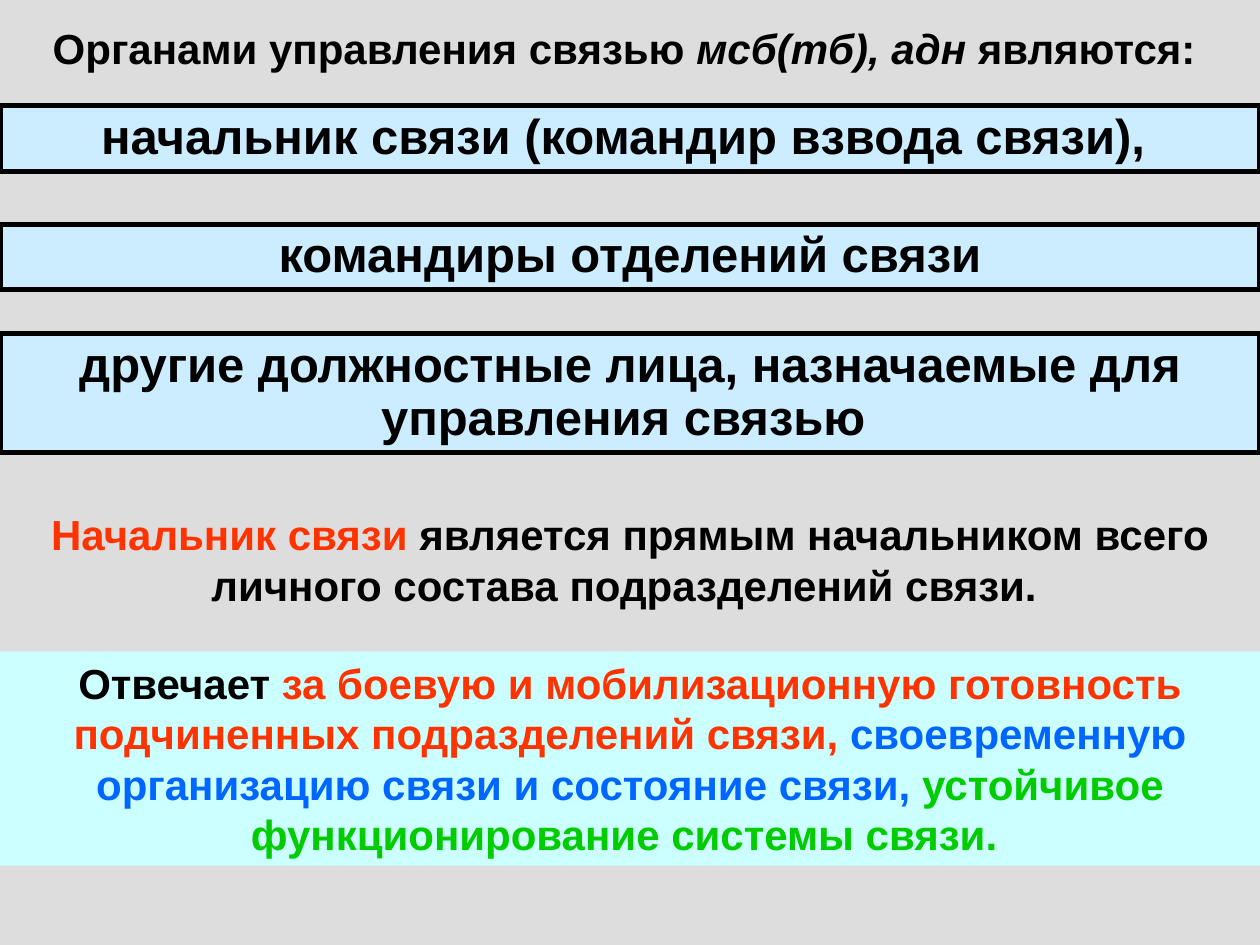
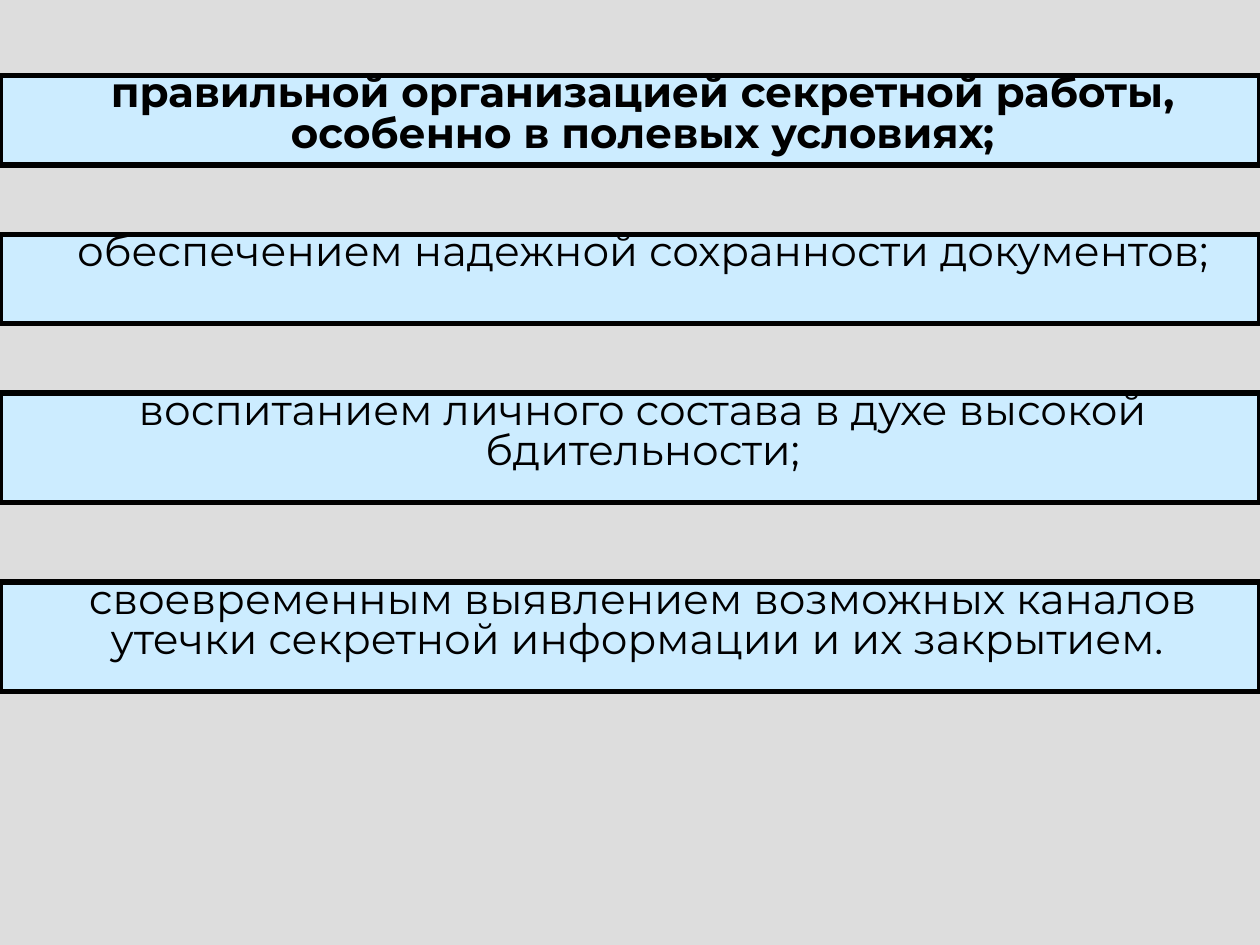
from dataclasses import dataclass

from pptx import Presentation
from pptx import util as u
from pptx.dml.color import RGBColor
from pptx.enum import shapes, text


@dataclass(frozen=True)
class Theme:
    back: str = "DDDDDD"
    box: str = "CCECFF"
    note: str = "CCFFFF"
    ink: str = "000000"
    red: str = "FF3300"
    blue: str = "0066FF"
    green: str = "00CC00"
    sans: str = "Arial"
    round: str = "Montserrat"
    body: int = 24
    large: int = 28
    edge: int = 3


def rgb(code):
    return RGBColor.from_string(code)


class Deck:
    WIDTH = 10

    def __init__(self, theme):
        self.theme = theme
        self.file = Presentation()
        self.file.slide_width = u.Inches(self.WIDTH)
        self.file.slide_height = u.Inches(7.5)
        self.slide = None

    def page(self):
        self.slide = self.file.slides.add_slide(self.file.slide_layouts[6])
        fill = self.slide.background.fill
        fill.solid()
        fill.fore_color.rgb = rgb(self.theme.back)

    def place(self, top, height):
        return 0, u.Inches(top), u.Inches(self.WIDTH), u.Inches(height)

    def letter(self, shape, runs, size, font, bold=True, lines=None, pad=(0.1, 0.05)):
        """Fill a shape with one centred paragraph of (words, colour, italic) runs."""
        frame = shape.text_frame
        frame.word_wrap = True
        frame.vertical_anchor = text.MSO_ANCHOR.TOP
        frame.margin_left = frame.margin_right = u.Inches(pad[0])
        frame.margin_top = frame.margin_bottom = u.Inches(pad[1])
        para = frame.paragraphs[0]
        para.alignment = text.PP_ALIGN.CENTER
        para.line_spacing = lines
        para.font.size = u.Pt(size)
        para.font.name = font
        para.font.bold = bold
        for words, tint, slant in runs:
            run = para.add_run()
            run.text = words
            run.font.color.rgb = rgb(tint)
            run.font.italic = slant
        return para

    def band(self, top, height, fill, edged=True):
        shape = self.slide.shapes.add_shape(
            shapes.MSO_SHAPE.RECTANGLE, *self.place(top, height))
        shape.shadow.inherit = False
        shape.fill.solid()
        shape.fill.fore_color.rgb = rgb(fill)
        if edged:
            shape.line.color.rgb = rgb(self.theme.ink)
            shape.line.width = u.Pt(self.theme.edge)
        else:
            shape.line.fill.background()
        return shape

    def label(self, top, height, runs):
        """Add plain text across the whole slide."""
        shape = self.slide.shapes.add_textbox(*self.place(top, height))
        self.letter(shape, runs, self.theme.body, self.theme.sans)

    def note(self, top, height, runs):
        """Add text on a band without an outline."""
        shape = self.band(top, height, self.theme.note, edged=False)
        self.letter(shape, runs, self.theme.body, self.theme.sans)

    def organ(self, top, height, words):
        shape = self.band(top, height, self.theme.box)
        self.letter(shape, [(words, self.theme.ink, False)],
                    self.theme.large, self.theme.sans, lines=0.9)

    def duty(self, top, height, words, bold):
        shape = self.band(top, height, self.theme.box)
        para = self.letter(shape, [(words, self.theme.ink, False)], self.theme.body,
                           self.theme.round, bold, lines=0.8, pad=(0, 0))
        props = para._p.get_or_add_pPr()
        props.set("marL", str(u.Inches(0.2)))
        props.set("indent", "0")


ORGANS = [
    (0.84, 0.52, "начальник связи (командир взвода связи), "),
    (1.78, 0.52, "командиры отделений связи"),
    (2.65, 0.94, "другие должностные лица, назначаемые для управления связью "),
]

DUTIES = [
    (0.6, 0.71, "правильной организацией секретной работы, особенно в полевых условиях;"),
    (1.86, 0.71, "обеспечением надежной сохранности документов;"),
    (3.12, 0.87, "воспитанием личного состава в духе высокой бдительности;"),
    (4.62, 0.87, "своевременным выявлением возможных каналов утечки секретной "
                 "информации и их закрытием. "),
]


def organs(deck):
    look = deck.theme
    deck.page()
    deck.label(0.13, 0.5, [
        ("Органами управления связью ", look.ink, False),
        ("мсб(тб), адн", look.ink, True),
        (" являются: ", look.ink, False),
    ])
    for row in ORGANS:
        deck.organ(*row)
    deck.label(3.99, 0.9, [
        ("Начальник связи", look.red, False),
        (" является прямым начальником всего личного состава "
         "подразделений связи. ", look.ink, False),
    ])
    deck.note(5.17, 1.7, [
        ("Отвечает ", look.ink, False),
        ("за боевую и мобилизационную готовность подчиненных "
         "подразделений связи, ", look.red, False),
        ("своевременную организацию связи и состояние связи, ", look.blue, False),
        ("устойчивое функционирование системы связи. ", look.green, False),
    ])


def duties(deck):
    deck.page()
    for index, row in enumerate(DUTIES):
        deck.duty(*row, bold=index == 0)


def main():
    deck = Deck(Theme())
    organs(deck)
    duties(deck)
    deck.file.save("out.pptx")


if __name__ == "__main__":
    main()
